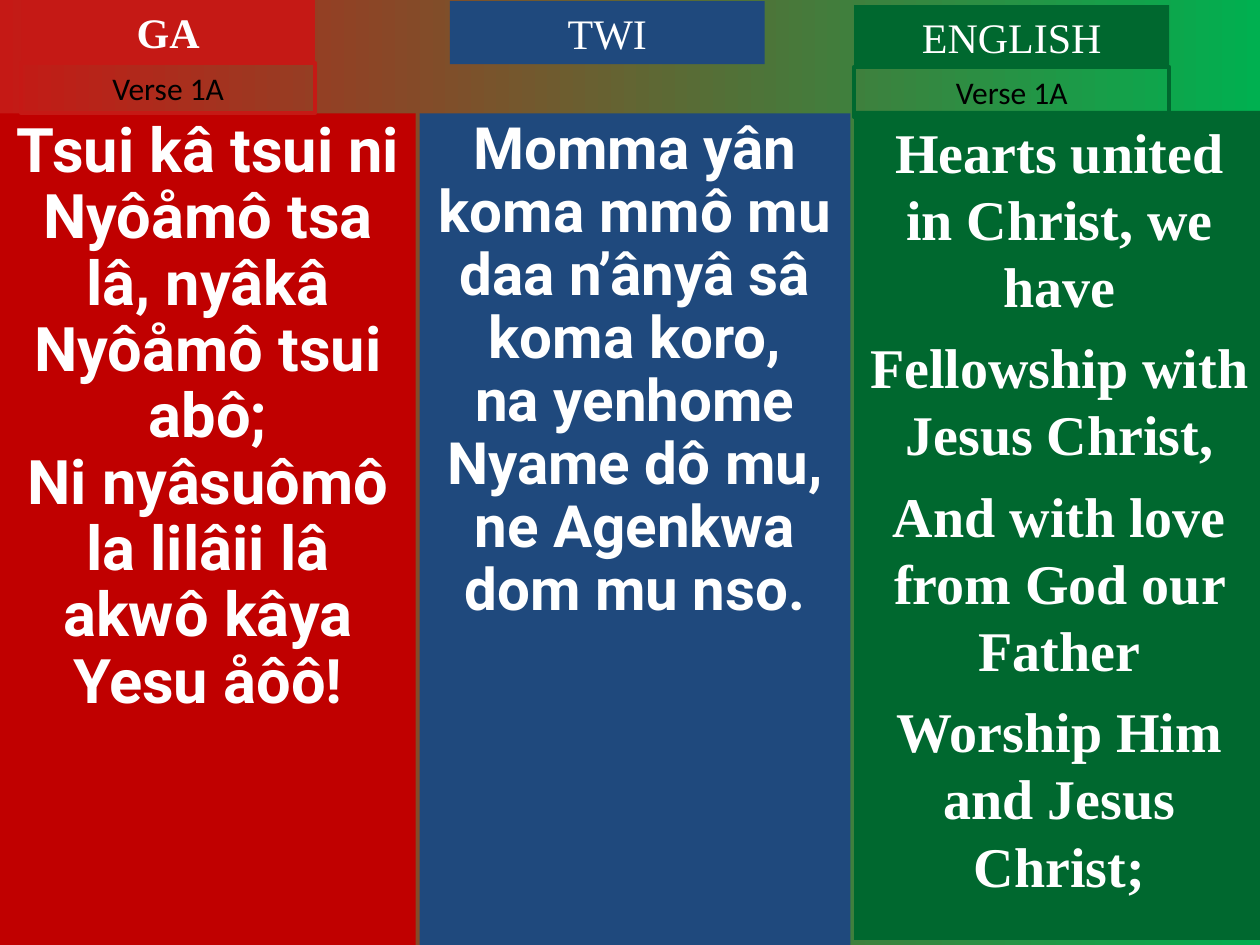
import pptx
import pptx.dml.color
import pptx.enum.shapes
import pptx.enum.text
import pptx.util
from pptx.util import Inches

RED = pptx.dml.color.RGBColor(0xC0, 0x00, 0x00)
BRIGHT_RED = pptx.dml.color.RGBColor(0xC5, 0x19, 0x15)
BLUE = pptx.dml.color.RGBColor(0x1F, 0x49, 0x7D)
GREEN = pptx.dml.color.RGBColor(0x00, 0x68, 0x2F)
BRIGHT_GREEN = pptx.dml.color.RGBColor(0x00, 0xB0, 0x50)
WHITE = pptx.dml.color.RGBColor(0xFF, 0xFF, 0xFF)
BLACK = pptx.dml.color.RGBColor(0x00, 0x00, 0x00)

deck = pptx.Presentation()
deck.slide_width = Inches(10)
deck.slide_height = Inches(7.5)
page = deck.slides.add_slide(deck.slide_layouts[6])

# Background fading from red to green
backdrop = page.background.fill
backdrop.gradient()
backdrop.gradient_angle = 0
for stop, color, position in zip(backdrop.gradient_stops, (BRIGHT_RED, BRIGHT_GREEN), (0, 1)):
    stop.color.rgb = color
    stop.position = position


def add_box(lines, left, top, width, height, *, size, font, fill=None, line=None,
            color=WHITE, bold=False, spacing=None, gap=0, grow=False):
    """Add a rectangle with one centred paragraph for each line of text."""
    box = page.shapes.add_shape(
        pptx.enum.shapes.MSO_SHAPE.RECTANGLE,
        Inches(left), Inches(top), Inches(width), Inches(height))
    box.shadow.inherit = False
    if fill is None:
        box.fill.background()
    else:
        box.fill.solid()
        box.fill.fore_color.rgb = fill
    if line is None:
        box.line.fill.background()
    else:
        box.line.color.rgb = line
        box.line.width = pptx.util.Pt(2.25)

    frame = box.text_frame
    frame.word_wrap = True
    frame.vertical_anchor = pptx.enum.text.MSO_ANCHOR.TOP
    if grow:
        frame.auto_size = pptx.enum.text.MSO_AUTO_SIZE.SHAPE_TO_FIT_TEXT
    for index, text in enumerate(lines):
        para = frame.add_paragraph() if index else frame.paragraphs[0]
        para.alignment = pptx.enum.text.PP_ALIGN.CENTER
        para.line_spacing = spacing
        if index and gap:
            para.space_before = pptx.util.Pt(gap)
        span = para.add_run()
        span.text = text
        span.font.size = pptx.util.Pt(size)
        span.font.name = font
        span.font.bold = bold
        span.font.color.rgb = color


# Ga and Twi verses
add_box(["Tsui kâ tsui ni Nyôåmô tsa lâ, nyâkâ Nyôåmô tsui abô;",
         "Ni nyâsuômô la lilâii lâ akwô kâya Yesu åôô!"],
        0, 0.9, 3.3, 6.6, size=35.1, font="Roboto", fill=RED, bold=True, spacing=0.9)
add_box(["Momma yân koma mmô mu daa n’ânyâ sâ koma koro,",
         "na yenhome Nyame dô mu,",
         "ne Agenkwa dom mu nso."],
        3.33, 0.9, 3.42, 6.6, size=33.3, font="Roboto", fill=BLUE, bold=True, spacing=0.9)

# English verse
add_box(["Hearts united in Christ, we have",
         "Fellowship with Jesus Christ,",
         "And with love from God our Father",
         "Worship Him and Jesus Christ;"],
        6.78, 0.88, 3.26, 6.58, size=32, font="Times New Roman", fill=GREEN, bold=True, gap=8)

# Language headings
for language, left, top, width, fill, bold in (
        ("GA", 0.17, 0, 2.33, BRIGHT_RED, True),
        ("TWI", 3.57, 0.01, 2.5, BLUE, False),
        ("ENGLISH", 6.78, 0.04, 2.5, GREEN, False)):
    add_box([language], left, top, width, 0.5, size=24, font="Times New Roman",
            fill=fill, bold=bold, grow=True)

# Outlined verse labels
for left, top, width, line in ((0.17, 0.5, 2.33, BRIGHT_RED), (6.78, 0.53, 2.5, GREEN)):
    add_box(["Verse 1A"], left, top, width, 0.4, size=18, font="Calibri",
            line=line, color=BLACK, grow=True)

deck.save("out.pptx")
